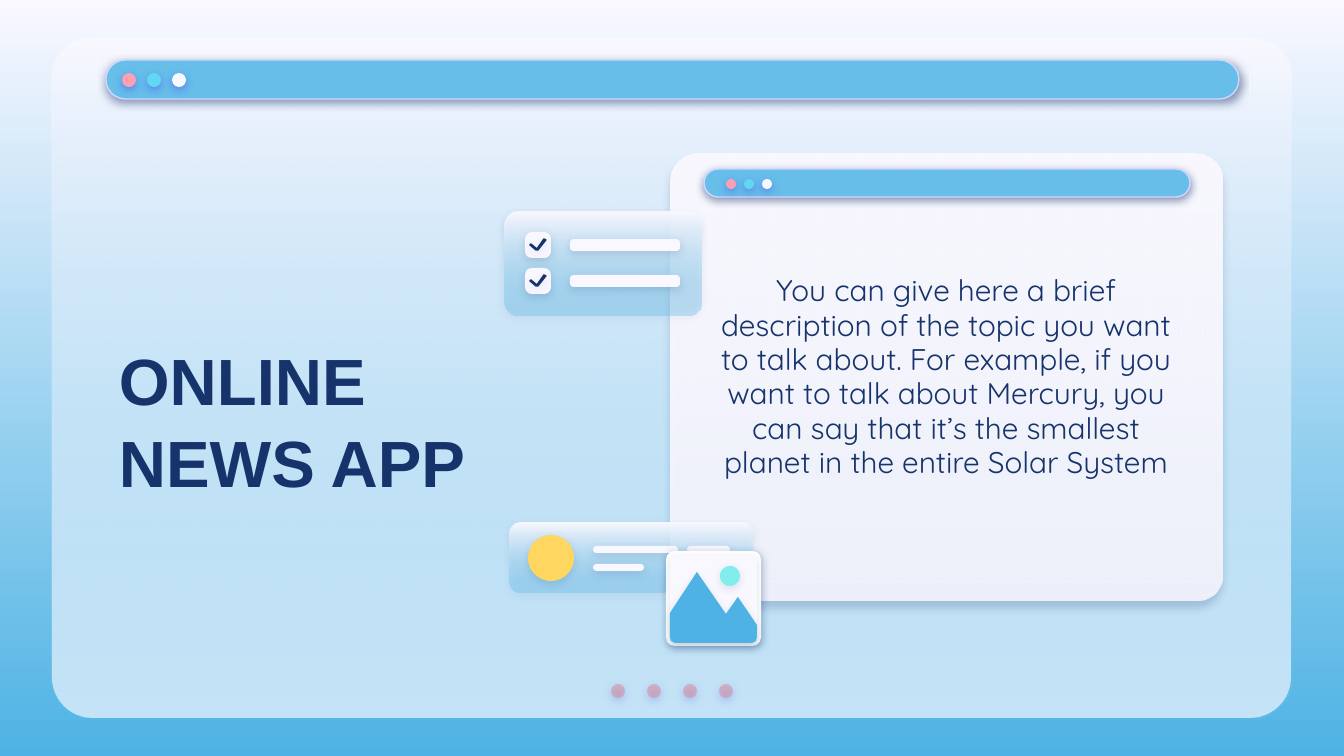
"""Build the slide that presents an online news app."""
from lxml import etree
from pptx import Presentation
from pptx.dml.color import RGBColor
from pptx.enum.shapes import MSO_SHAPE
from pptx.enum.text import MSO_ANCHOR, PP_ALIGN
from pptx.oxml.ns import qn
from pptx.util import Emu, Pt

ROUND = MSO_SHAPE.ROUNDED_RECTANGLE
OVAL = MSO_SHAPE.OVAL
MIDDLE = MSO_ANCHOR.MIDDLE
LEFT = PP_ALIGN.LEFT
CENTER = PP_ALIGN.CENTER

PX = 914400 / 134.4
HEX = {
    "pale": "F9F8FF", "sky": "4EB3E4", "bar": "66BEE9", "edge": "D2D6FF",
    "navy": "17336B", "violet": "5352EE", "rose": "E27B83", "pink": "FDA0B4",
    "cyan": "60D8F4", "sun": "FFD65F", "mint": "81EEEB", "white": "FFFFFF",
}
GLASS = ("pale", "bar", 35)
CARD = ("pale", "pale", 87)
DEEP = ("navy", 50, 1.5, 90)
SOFT = ("navy", 15, 1.5, 90)
FAINT = ("navy", 13, 1.5, 90)
GLOW = ("violet", 50, 1.5, 90)
LIGHTS = ("pink", "cyan", "pale")
TICK = [(21, 8), (19, 7), (12, 17), (6, 12), (5, 13), (11, 18), (13, 18)]
PEAKS = [(697, 572), (670, 613), (670, 637), (671, 641), (675, 643),
         (752, 643), (756, 641), (757, 637), (757, 625), (738, 597), (726, 614)]


def px(num):
    """Turn pixels into EMU."""
    return Emu(round(num * PX))


def rgb(name):
    """Look up a named colour."""
    return RGBColor.from_string(HEX[name])


def fade(root, alpha):
    """Set the opacity of the last colour under an element."""
    tint = list(root.iter(qn("a:srgbClr")))[-1]
    etree.SubElement(tint, qn("a:alpha"), val=str(alpha * 1000))


def blend(fill, first, last):
    """Fill from top to bottom with two colours."""
    fill.gradient()
    fill.gradient_angle = 270
    for stop, name, place in zip(fill.gradient_stops, (first, last), (0, 1)):
        stop.color.rgb = rgb(name)
        stop.position = place


def shade(shape, name, alpha, dist, turn):
    """Give a shape an outer shadow."""
    shape.shadow.inherit = False
    effects = shape._element.spPr.find(qn("a:effectLst"))
    outer = etree.SubElement(
        effects, qn("a:outerShdw"), blurRad=str(Pt(4.5)), dist=str(Pt(dist)),
        dir=str(turn * 60000), algn="bl", rotWithShape="0")
    etree.SubElement(outer, qn("a:srgbClr"), val=HEX[name])
    fade(outer, alpha)


def paint(shape, fill, line=None, shadow=None, alpha=None):
    """Set the fill, outline and shadow of a shape."""
    if isinstance(fill, tuple):
        first, last, alpha = fill
        blend(shape.fill, first, last)
    else:
        shape.fill.solid()
        shape.fill.fore_color.rgb = rgb(fill)
    if alpha is not None:
        fade(shape._element.spPr, alpha)
    if line:
        shape.line.color.rgb = rgb(line)
        shape.line.width = Pt(0.75)
    else:
        shape.line.fill.background()
    if shadow:
        shade(shape, *shadow)
    else:
        shape.shadow.inherit = False


def box(shapes, area, bend, fill, **style):
    """Draw a rounded box."""
    shape = shapes.add_shape(ROUND, *map(px, area))
    shape.adjustments[0] = bend
    paint(shape, fill, **style)


def disc(shapes, left, top, size, fill, **style):
    """Draw a round dot."""
    shape = shapes.add_shape(OVAL, px(left), px(top), px(size), px(size))
    paint(shape, fill, **style)


def dots(shapes, left, top, size, step, names, alpha=None):
    """Draw a row of evenly spaced dots."""
    for i, name in enumerate(names):
        disc(shapes, left + i * step, top, size, name, shadow=GLOW, alpha=alpha)


def outline(shapes, points, fill, **style):
    """Draw a closed polygon."""
    form = shapes.build_freeform(*points[0], scale=PX)
    form.add_line_segments(points[1:], close=True)
    paint(form.convert_to_shape(), fill, **style)


def write(shapes, words, area, font, size, bold=False, align=LEFT, space=1.0):
    """Add a text box that wraps, set in the middle of its area."""
    frame = shapes.add_textbox(*map(px, area)).text_frame
    frame.word_wrap = True
    frame.vertical_anchor = MIDDLE
    frame.margin_left = frame.margin_right = px(13)
    frame.margin_top = frame.margin_bottom = px(13)
    para = frame.paragraphs[0]
    para.alignment = align
    para.line_spacing = space
    run = para.add_run()
    run.text = words
    run.font.name = font
    run.font.size = Pt(size)
    run.font.bold = bold
    run.font.color.rgb = rgb("navy")


def window(shapes):
    """Draw the large window with its bar and pager."""
    for fill in ("pale", GLASS):
        box(shapes, (52, 38, 1239, 680), 0.06, fill)
    dots(shapes, 611, 684, 14, 36, ["rose"] * 4, alpha=44)
    box(shapes, (106, 60, 1133, 39), 0.5, "bar", line="edge", shadow=DEEP)
    dots(shapes, 122, 73, 14, 25, LIGHTS)


def card(shapes):
    """Draw the text card with its bar."""
    box(shapes, (671, 154, 551, 447), 0.06, CARD, shadow=("navy", 22, 3.8, 91))
    box(shapes, (704, 169, 486, 28), 0.5, "bar", line="edge", shadow=DEEP)
    dots(shapes, 726, 179, 10, 18, LIGHTS)


def checks(shapes):
    """Draw the checklist panel."""
    box(shapes, (504, 212, 197, 103), 0.13, GLASS, shadow=SOFT)
    for top in (232, 268):
        box(shapes, (570, top + 7, 110, 12), 0.3, "pale", shadow=SOFT)
        box(shapes, (525, top, 26, 26), 0.26, "pale", shadow=SOFT)
        outline(shapes, [(525 + x, top + y) for x, y in TICK], "navy",
                line="navy", shadow=("violet", 15, 1.5, 90))


def profile(shapes):
    """Draw the panel with a sun and three short lines."""
    box(shapes, (510, 523, 242, 70), 0.15, GLASS, shadow=FAINT)
    disc(shapes, 528, 535, 46, "sun", shadow=FAINT)
    for left, top, width in ((593, 546, 85), (687, 546, 43), (593, 564, 51)):
        box(shapes, (left, top, width, 7), 0.5, "pale", shadow=FAINT)


def photo(shapes):
    """Draw the framed mountain icon."""
    box(shapes, (666, 551, 95, 95), 0.09, "white", shadow=("navy", 33, 1.5, 64))
    box(shapes, (670, 555, 87, 88), 0.06, "pale", shadow=FAINT)
    outline(shapes, PEAKS, "sky", shadow=FAINT)
    disc(shapes, 720, 566, 20, "mint", shadow=FAINT)


def main():
    """Build and save the slide."""
    deck = Presentation()
    deck.slide_width, deck.slide_height = px(1344), px(756)
    slide = deck.slides.add_slide(deck.slide_layouts[6])
    blend(slide.background.fill, "pale", "sky")
    shapes = slide.shapes
    window(shapes)
    write(shapes, "ONLINE NEWS APP", (106, 314, 485, 210), "Arial", 35,
          bold=True, space=1.04)
    card(shapes)
    write(shapes, "You can give here a brief description of the topic you want "
          "to talk about. For example, if you want to talk about Mercury, you "
          "can say that it’s the smallest planet in the entire Solar System",
          (692, 212, 508, 331), "Quicksand", 16, align=CENTER, space=0.96)
    checks(shapes)
    profile(shapes)
    photo(shapes)
    deck.save("out.pptx")


if __name__ == "__main__":
    main()
